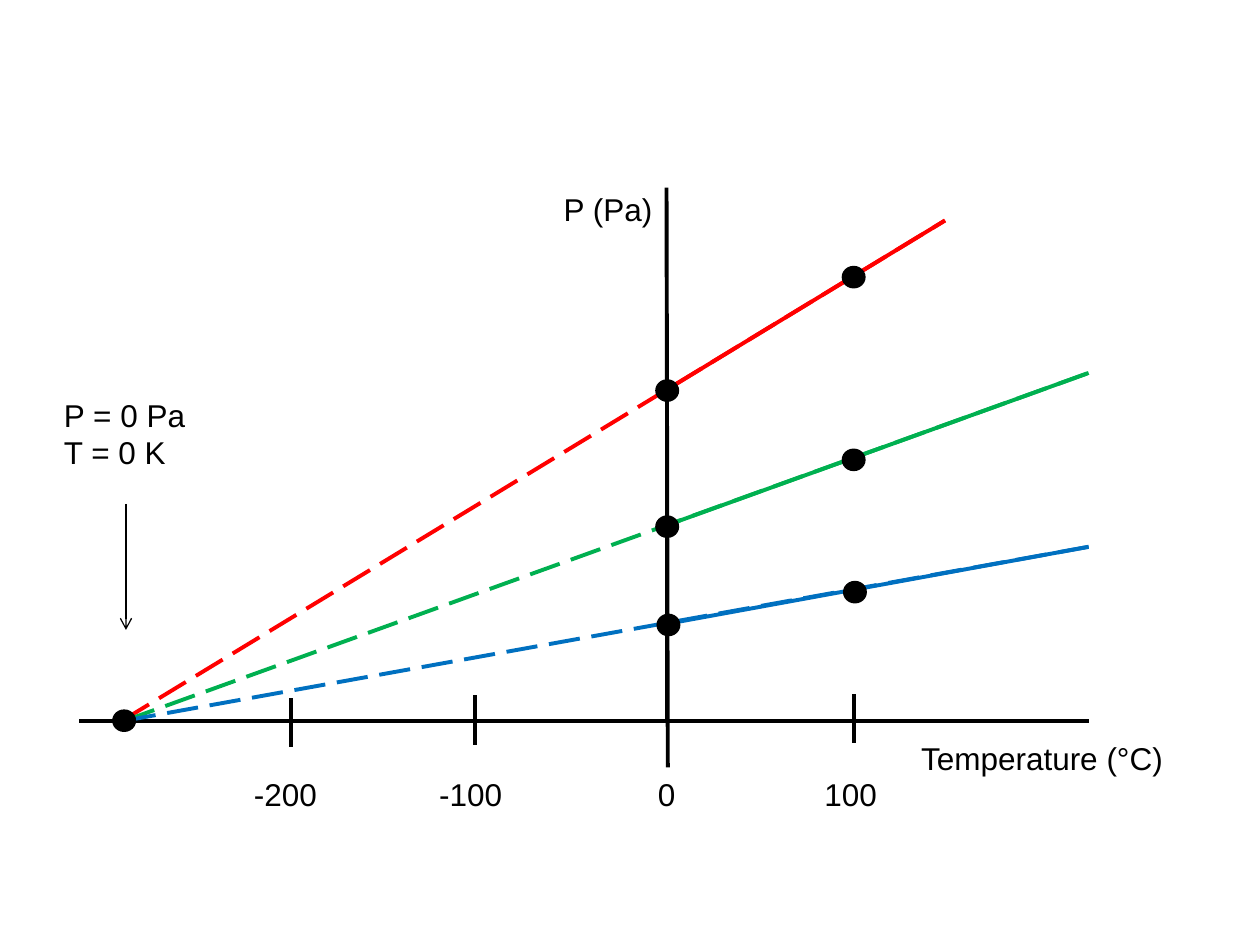
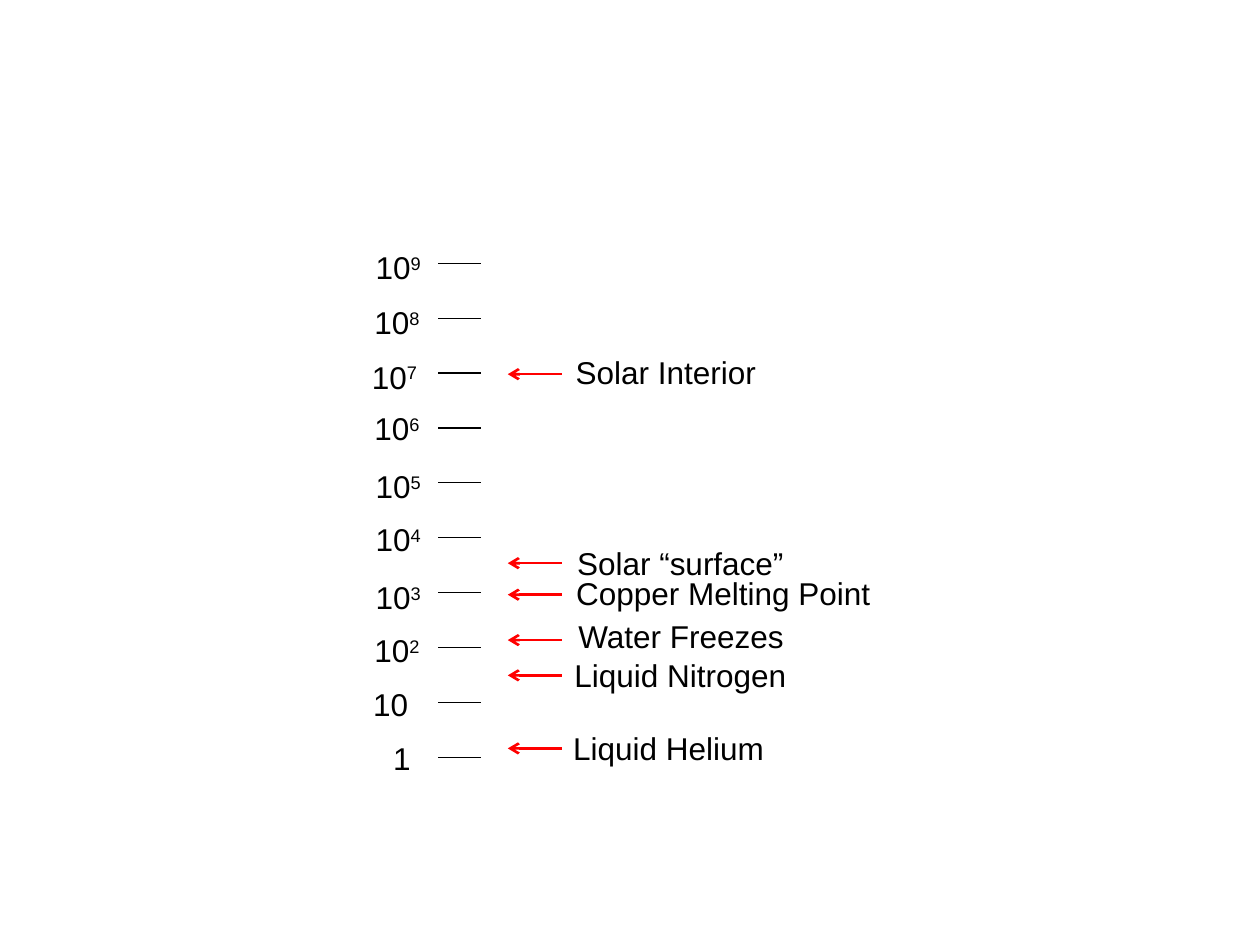
import pptx
import pptx.util
import pptx.dml.color
import pptx.enum.dml
import pptx.enum.shapes
import pptx.enum.text
import pptx.oxml
import pptx.oxml.ns

Inches = pptx.util.Inches
RGBColor = pptx.dml.color.RGBColor

BLACK = RGBColor(0x00, 0x00, 0x00)
RED = RGBColor(0xFF, 0x00, 0x00)
GREEN = RGBColor(0x00, 0xB0, 0x50)
BLUE = RGBColor(0x00, 0x70, 0xC0)
FONT = "Arial"
TEXT_SIZE = 18
LABEL_HEIGHT = 0.4
BLANK_LAYOUT = 6


def append_xml(parent, tag, **attributes):
    child = parent.makeelement(pptx.oxml.ns.qn(tag), attributes)
    parent.append(child)


def style_line(shape, color, width, dashed=False, arrow=False):
    shape.line.color.rgb = color
    shape.line.width = pptx.util.Pt(width)
    if dashed:
        shape.line.dash_style = pptx.enum.dml.MSO_LINE.LONG_DASH
    if arrow:
        outline = shape.element.spPr.find(pptx.oxml.ns.qn("a:ln"))
        append_xml(outline, "a:tailEnd", type="arrow")


def add_line(shapes, start, end, color=BLACK, width=2.25, **style):
    ends = [Inches(value) for value in (*start, *end)]
    line = shapes.add_connector(pptx.enum.shapes.MSO_CONNECTOR.STRAIGHT, *ends)
    style_line(line, color, width, **style)
    append_xml(line.element.spPr, "a:effectLst")


def add_label(shapes, left, top, width, text, exponent="", centered=True):
    lines = text.split("\n")
    height = LABEL_HEIGHT + 0.31 * (len(lines) - 1)
    label = shapes.add_textbox(Inches(left), Inches(top), Inches(width), Inches(height))
    frame = label.text_frame
    frame.word_wrap = False
    frame.auto_size = pptx.enum.text.MSO_AUTO_SIZE.SHAPE_TO_FIT_TEXT
    frame.text = text
    for paragraph in frame.paragraphs:
        paragraph.font.name = FONT
        paragraph.font.size = pptx.util.Pt(TEXT_SIZE)
        paragraph.font.color.rgb = BLACK
        if centered:
            paragraph.alignment = pptx.enum.text.PP_ALIGN.CENTER
    if exponent:
        power = frame.paragraphs[0].add_run()
        power.text = exponent
        power.font._element.set("baseline", "30000")


def add_point(shapes, left, top):
    point = shapes.add_shape(
        pptx.enum.shapes.MSO_SHAPE.OVAL,
        Inches(left), Inches(top), Inches(0.19), Inches(0.18))
    point.shadow.inherit = False
    point.fill.solid()
    point.fill.fore_color.rgb = BLACK
    point.line.fill.background()


def bezier_points(start, control_1, control_2, end, steps=16):
    for step in range(1, steps + 1):
        t = step / steps
        weights = ((1 - t) ** 3, 3 * t * (1 - t) ** 2, 3 * t * t * (1 - t), t ** 3)
        yield tuple(
            sum(weight * value for weight, value in zip(weights, values))
            for values in zip(start, control_1, control_2, end))


def add_curved_arrow(shapes, start, curves):
    builder = shapes.build_freeform(*start, scale=Inches(1))
    for curve in curves:
        builder.add_line_segments(list(bezier_points(start, *curve)), close=False)
        start = curve[-1]
    pointer = builder.convert_to_shape()
    pointer.shadow.inherit = False
    pointer.fill.background()
    style_line(pointer, BLACK, 0.75, arrow=True)


def build_gas_pressure_slide(presentation):
    slide = presentation.slides.add_slide(presentation.slide_layouts[BLANK_LAYOUT])
    shapes = slide.shapes
    axis_y = 5.72
    gases = [
        (RED, (0.97, axis_y), (5.28, 3.1), (7.5, 1.75)),
        (GREEN, (0.99, axis_y), (5.29, 4.17), (8.64, 2.96)),
        (BLUE, (0.99, axis_y), (5.3, 4.95), (8.64, 4.34)),
    ]
    add_line(shapes, (5.28, 1.75), (5.28, axis_y), width=0.75)
    add_line(shapes, (0.63, axis_y), (8.64, axis_y))
    for color, absolute_zero, _, end in gases:
        add_line(shapes, absolute_zero, end, color, dashed=True)
    add_line(shapes, (5.29, 1.49), (5.3, 6.09))
    for color, _, freezing, end in reversed(gases):
        add_line(shapes, freezing, end, color)

    for left, top in [(6.68, 2.11), (6.68, 3.56), (6.69, 4.61),
                      (5.2, 3.01), (5.2, 4.09), (5.21, 4.87), (0.89, 5.63)]:
        add_point(shapes, left, top)

    for left, width, temperature in [(5.12, 0.34, "0"), (6.44, 0.62, "100"),
                                     (3.38, 0.71, "-100"), (1.91, 0.71, "-200")]:
        add_label(shapes, left, 6.1, width, temperature)
    add_label(shapes, 7.2, 5.82, 2.14, "Temperature (°C)")
    add_label(shapes, 4.37, 1.46, 0.91, "P (Pa)")
    for x, top in [(6.78, 5.51), (3.77, 5.52), (2.31, 5.54)]:
        add_line(shapes, (x, top), (x, top + 0.39))

    add_label(shapes, 0.41, 3.09, 1.2, "P = 0 Pa\nT = 0 K", centered=False)
    add_curved_arrow(shapes, (1.15, 3.83), [
        ((1.06, 4.08), (0.97, 4.34), (0.97, 4.43)),
        ((0.97, 4.53), (1.14, 4.23), (1.15, 4.41)),
        ((1.15, 4.58), (1.08, 5.03), (1.01, 5.49)),
    ])


def build_temperature_scale_slide(presentation):
    slide = presentation.slides.add_slide(presentation.slide_layouts[BLANK_LAYOUT])
    shapes = slide.shapes.add_group_shape().shapes
    powers = [
        (2.87, 1.92, "9"), (2.86, 2.36, "8"), (2.84, 2.79, "7"), (2.86, 3.2, "6"),
        (2.87, 3.66, "5"), (2.87, 4.08, "4"), (2.87, 4.54, "3"), (2.86, 4.96, "2"),
    ]
    landmarks = [
        ("Solar Interior", 4.46, 2.75, 1.65, 2.97),
        ("Solar “surface”", 4.47, 4.27, 1.86, 4.47),
        ("Copper Melting Point", 4.46, 4.51, 2.56, 4.72),
        ("Water Freezes", 4.48, 4.85, 1.85, 5.08),
        ("Liquid Nitrogen", 4.45, 5.16, 1.9, 5.36),
        ("Liquid Helium", 4.44, 5.74, 1.73, 5.94),
    ]
    highest_tick, lowest_tick, tick_count = 2.09, 6.01, 10
    tick_gap = (lowest_tick - highest_tick) / (tick_count - 1)
    for index in range(tick_count):
        y = lowest_tick - index * tick_gap
        add_line(shapes, (3.48, y), (3.82, y), width=0.75)
    for left, top, exponent in powers:
        add_label(shapes, left, top, 0.58, "10", exponent)
    add_label(shapes, 2.86, 5.39, 0.48, "10")
    add_label(shapes, 3.02, 5.82, 0.34, "1")
    for name, left, top, width, _ in landmarks:
        add_label(shapes, left, top, width, name)
    for *_, y in landmarks:
        add_line(shapes, (4.46, y), (4.03, y), RED, 1.5, arrow=True)


def main():
    presentation = pptx.Presentation()
    presentation.slide_width = Inches(10)
    presentation.slide_height = Inches(7.5)
    build_gas_pressure_slide(presentation)
    build_temperature_scale_slide(presentation)
    presentation.save("out.pptx")


if __name__ == "__main__":
    main()
